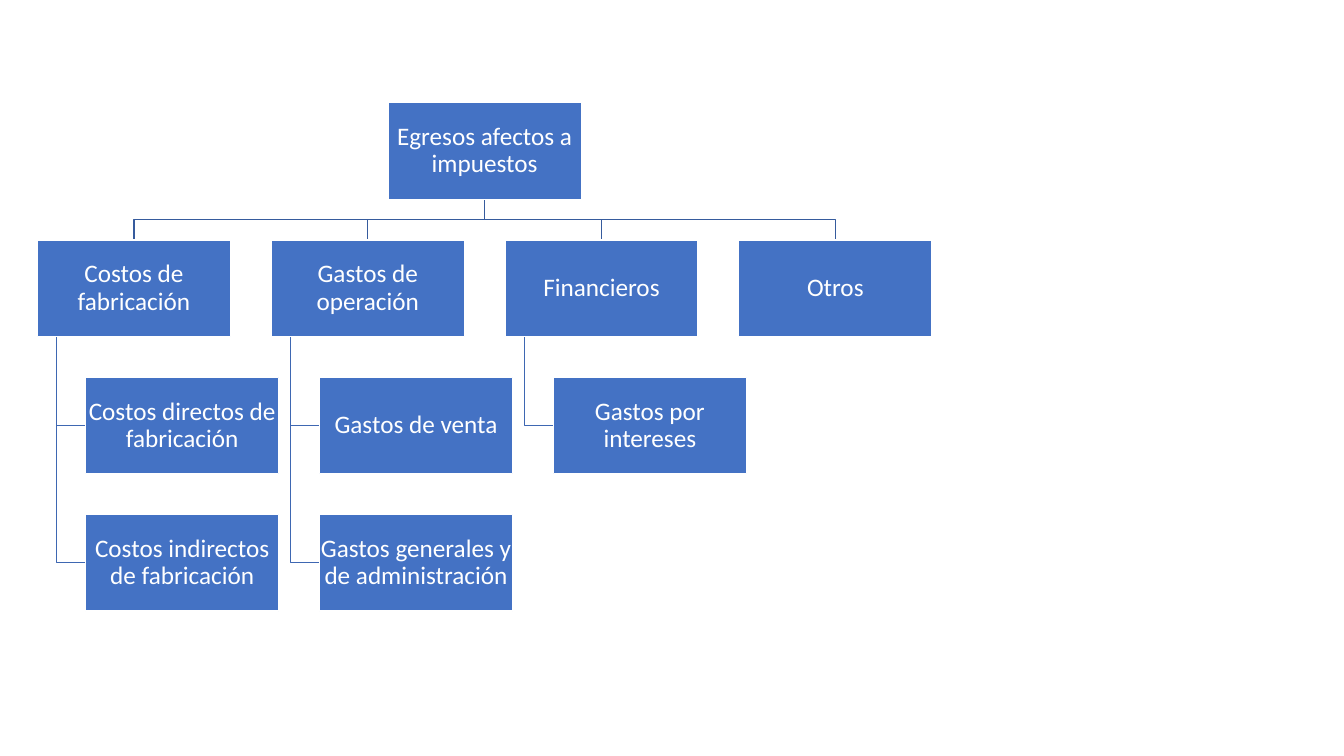
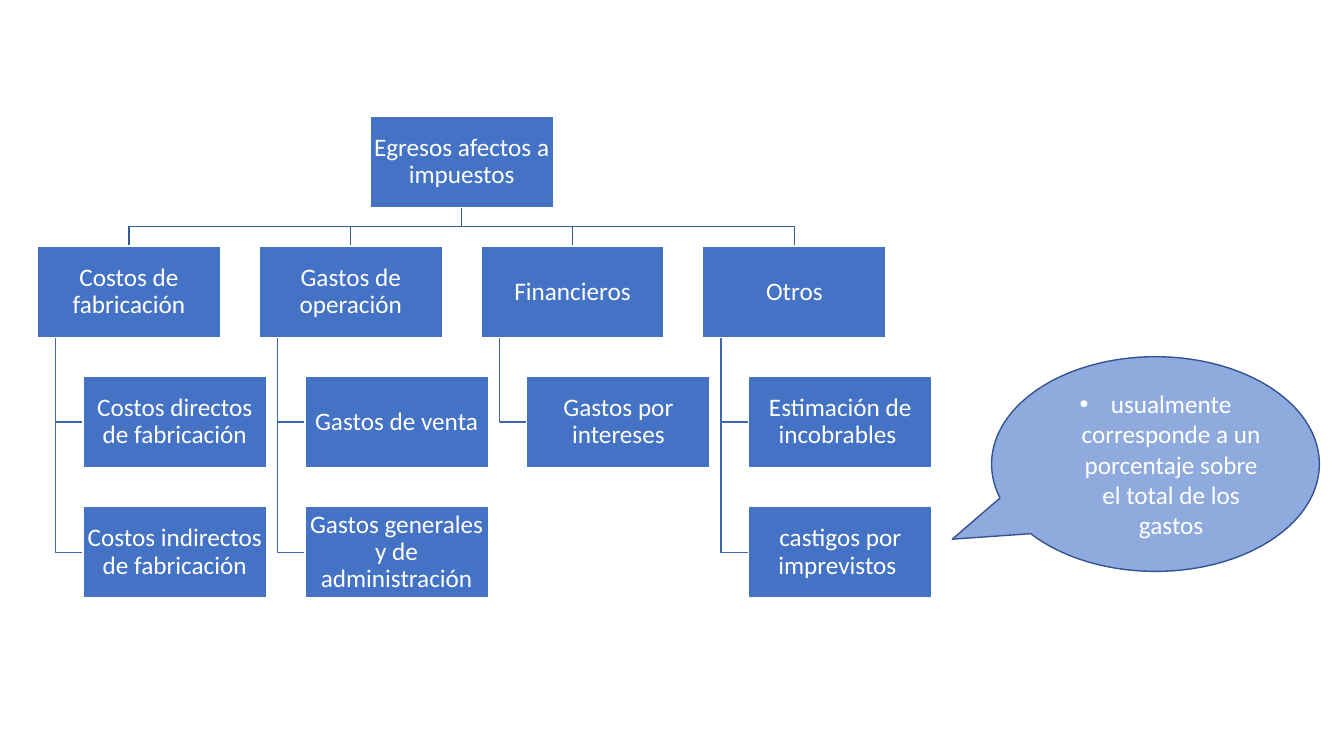
from dataclasses import dataclass

from lxml.etree import SubElement
from pptx import Presentation
from pptx.dml.color import RGBColor
from pptx.enum.shapes import MSO_SHAPE
from pptx.enum.text import MSO_ANCHOR, PP_ALIGN
from pptx.oxml.ns import qn
from pptx.util import Cm, Pt

ROOT = "Egresos afectos a impuestos"
BRANCHES = [
    ("Costos de fabricación",
     ["Costos directos de fabricación", "Costos indirectos de fabricación"]),
    ("Gastos de operación",
     ["Gastos de venta", "Gastos generales y de administración"]),
    ("Financieros", ["Gastos por intereses"]),
]
OTHERS = "Otros"
OTHERS_DETAIL = ["Estimación de incobrables ", "castigos por imprevistos "]
CHARTS = [
    {"top": 2.59, "box_width": 4.87, "branches": BRANCHES + [(OTHERS, [])]},
    {"top": 2.92, "box_width": 4.62,
     "branches": BRANCHES + [(OTHERS, OTHERS_DETAIL)]},
]
CALLOUT = {
    "text": "usualmente corresponde a un porcentaje sobre el total de los gastos",
    "box": (24.99, 8.99, 8.26, 5.41),
    "tip": (-0.62, 0.35),
    "indent": 0.79,
}


@dataclass(frozen=True)
class Theme:
    """Colours, type and chart proportions shared by the slides."""
    box: RGBColor = RGBColor(0x44, 0x72, 0xC4)
    white: RGBColor = RGBColor(0xFF, 0xFF, 0xFF)
    upper_line: RGBColor = RGBColor(0x36, 0x5B, 0x9D)
    lower_line: RGBColor = RGBColor(0x3E, 0x67, 0xB2)
    callout: RGBColor = RGBColor(0x8F, 0xAA, 0xDC)
    callout_line: RGBColor = RGBColor(0x32, 0x54, 0x91)
    font: str = "Calibri"
    size: Pt = Pt(18)
    line_width: Pt = Pt(1)
    inset: Cm = Cm(0.03)
    left: float = 0.94
    # The following are shares of the box width.
    height: float = 0.5
    gap: float = 0.21
    child_indent: float = 0.25
    trunk_indent: float = 0.1


THEME = Theme()


def add_shape(slide, kind, box, text, fill, line):
    """Add a filled shape with centred text; box is in centimetres."""
    shape = slide.shapes.add_shape(kind, *map(Cm, box))
    shape.shadow.inherit = False
    shape.fill.solid()
    shape.fill.fore_color.rgb = fill
    shape.line.color.rgb = line
    shape.line.width = THEME.line_width
    frame = shape.text_frame
    frame.word_wrap = True
    frame.vertical_anchor = MSO_ANCHOR.MIDDLE
    paragraph = frame.paragraphs[0]
    paragraph.alignment = PP_ALIGN.CENTER
    run = paragraph.add_run()
    run.text = text
    run.font.name = THEME.font
    run.font.size = THEME.size
    run.font.color.rgb = THEME.white
    return shape


def add_box(slide, box, text):
    """Add one box of the chart."""
    shape = add_shape(slide, MSO_SHAPE.RECTANGLE, box, text, THEME.box, THEME.white)
    frame = shape.text_frame
    frame.margin_left = frame.margin_right = THEME.inset
    frame.margin_top = frame.margin_bottom = THEME.inset
    frame.paragraphs[0].line_spacing = 0.9


def add_elbow(slide, points, color):
    """Draw an open bent line through points in centimetres."""
    start, *others = [(Cm(x), Cm(y)) for x, y in points]
    builder = slide.shapes.build_freeform(*start)
    builder.add_line_segments(others, close=False)
    shape = builder.convert_to_shape()
    shape.shadow.inherit = False
    shape.fill.background()
    shape.line.color.rgb = color
    shape.line.width = THEME.line_width


def add_org_chart(slide, top, box_width, branches):
    """Lay out root, branches and details, with lines behind the boxes."""
    height = THEME.height * box_width
    gap = THEME.gap * box_width
    step_x, step_y = box_width + gap, height + gap
    root_left = THEME.left + step_x * (len(branches) - 1) / 2
    root_center, root_bottom = root_left + box_width / 2, top + height
    middle, branch_top = root_bottom + gap / 2, top + step_y
    boxes, elbows = [(root_left, top, ROOT)], []
    for column, (name, details) in enumerate(branches):
        left = THEME.left + column * step_x
        center = left + box_width / 2
        boxes.append((left, branch_top, name))
        elbows.append(([(root_center, root_bottom), (root_center, middle),
                        (center, middle), (center, branch_top)], THEME.upper_line))
        trunk = left + THEME.trunk_indent * box_width
        child_left = left + THEME.child_indent * box_width
        for row, detail in enumerate(details, start=1):
            child_top = branch_top + row * step_y
            child_middle = child_top + height / 2
            boxes.append((child_left, child_top, detail))
            elbows.append(([(trunk, branch_top + height), (trunk, child_middle),
                            (child_left, child_middle)], THEME.lower_line))
    for points, color in elbows:
        add_elbow(slide, points, color)
    for left, box_top, text in boxes:
        add_box(slide, (left, box_top, box_width, height), text)


def add_callout(slide, text, box, tip, indent):
    """Add the bulleted speech bubble."""
    shape = add_shape(slide, MSO_SHAPE.OVAL_CALLOUT, box, text,
                      THEME.callout, THEME.callout_line)
    for index, value in enumerate(tip):
        shape.adjustments[index] = value
    properties = shape.text_frame.paragraphs[0]._p.get_or_add_pPr()
    properties.set("marL", str(Cm(indent)))
    properties.set("indent", str(-Cm(indent)))
    SubElement(properties, qn("a:buFont")).set("typeface", "Arial")
    SubElement(properties, qn("a:buChar")).set("char", "•")


def main():
    """Build and save the presentation."""
    presentation = Presentation()
    presentation.slide_width, presentation.slide_height = Cm(33.87), Cm(19.05)
    blank = presentation.slide_layouts[6]
    for chart in CHARTS:
        slide = presentation.slides.add_slide(blank)
        add_org_chart(slide, **chart)
    add_callout(slide, **CALLOUT)
    presentation.save("out.pptx")


main()
